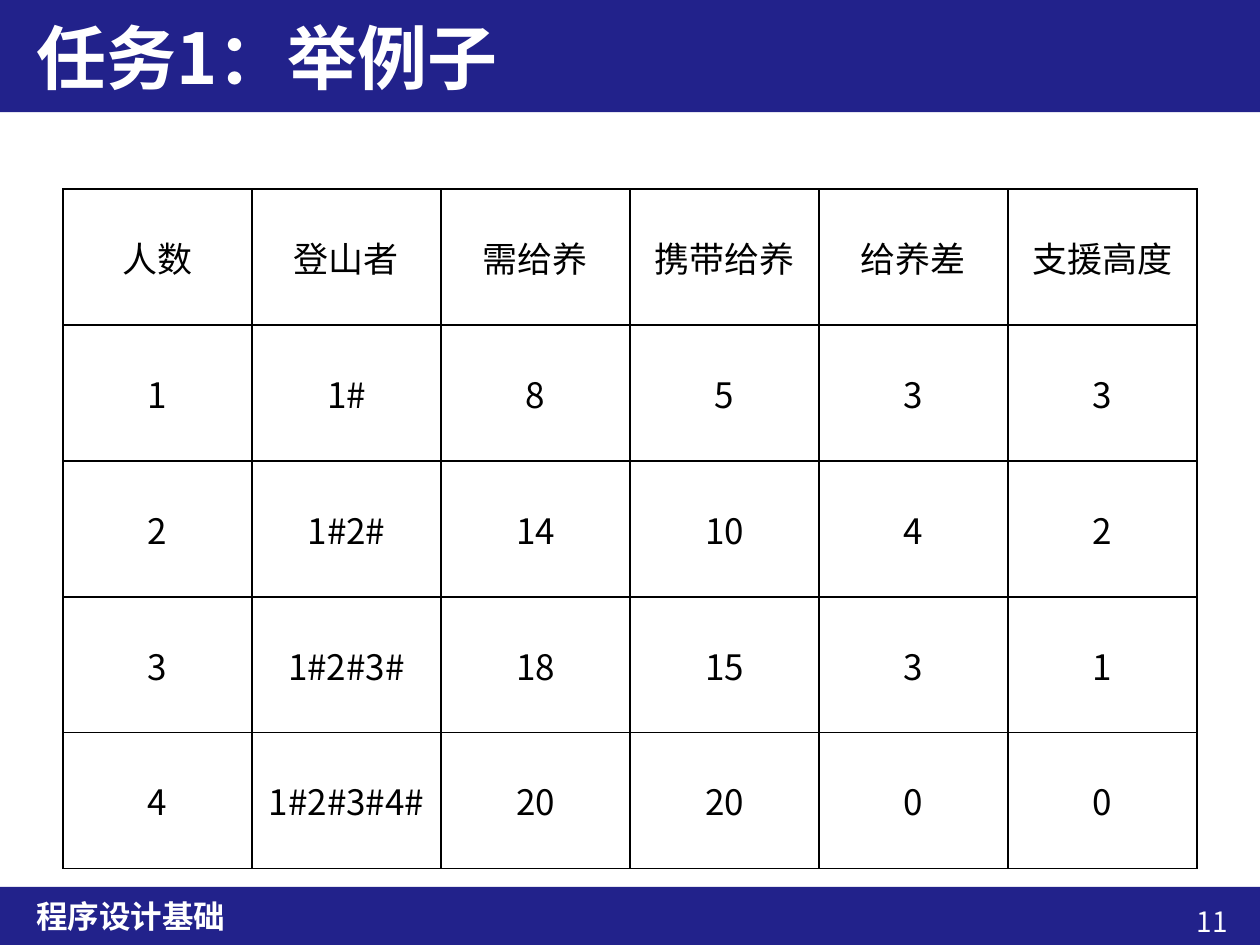
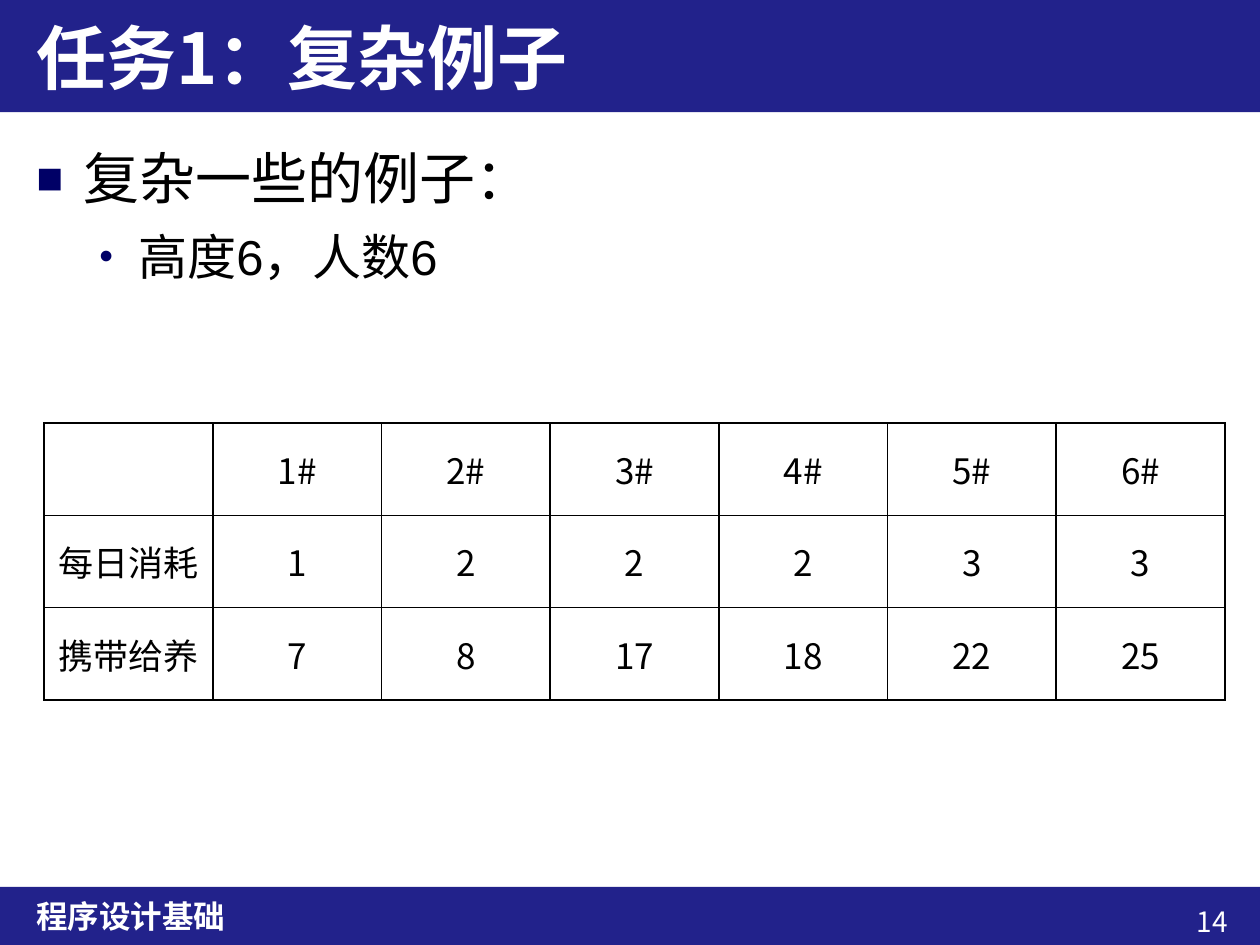
from dataclasses import dataclass

from lxml import etree
from pptx import Presentation
from pptx.dml.color import RGBColor
from pptx.enum.shapes import MSO_SHAPE
from pptx.enum.text import MSO_ANCHOR, MSO_AUTO_SIZE, PP_ALIGN
from pptx.oxml.ns import qn
from pptx.util import Cm, Pt

RECTANGLE = MSO_SHAPE.RECTANGLE
TOP, MIDDLE = MSO_ANCHOR.TOP, MSO_ANCHOR.MIDDLE
LEFT, CENTER, RIGHT = PP_ALIGN.LEFT, PP_ALIGN.CENTER, PP_ALIGN.RIGHT
NO_AUTOFIT = MSO_AUTO_SIZE.NONE


@dataclass(frozen=True)
class Theme:
    band: str = "22228B"
    bullet: str = "000066"
    dark: str = "000000"
    light: str = "FFFFFF"
    cjk_font: str = "Noto Sans CJK SC"
    body_font: str = "Arial"
    title_size: int = 40
    footer_size: int = 18
    number_size: int = 16
    table_size: int = 20


THEME = Theme()
COURSE = "程序设计基础"

# Frames as left, top, width, height in centimetres
TITLE_FRAME = (0.48, 0, 24.38, 2.26)
FOOTER_FRAME = (0.48, 17.88, 24.38, 1.17)
NUMBER_FRAME = (21.82, 18.11, 3.18, 0.94)
BODY_FRAME = (0.48, 2.64, 24.38, 14.86)
BAND_FRAMES = [(-0.02, 0, 25.43, 2.26), (-0.02, 17.88, 25.43, 1.17)]

# Per list level: size, left margin, hanging indent, bullet
LEVELS = [(32, 0.94, 0.94, "■"), (28, 2.06, 0.79, "•")]

PAGES = [
    {
        "title": "任务1：举例子",
        "number": "11",
        "bullets": [],
        "table_origin": (1.27, 3.81),
        "cell_size": (3.81, 2.74),
        "rows": [
            ["人数", "登山者", "需给养", "携带给养", "给养差", "支援高度"],
            ["1", "1#", "8", "5", "3", "3"],
            ["2", "1#2#", "14", "10", "4", "2"],
            ["3", "1#2#3#", "18", "15", "3", "1"],
            ["4", "1#2#3#4#", "20", "20", "0", "0"],
        ],
    },
    {
        "title": "任务1：复杂例子",
        "number": "14",
        "bullets": ["复杂一些的例子：", "高度6，人数6"],
        "table_origin": (0.89, 8.53),
        "cell_size": (3.4, 1.86),
        "rows": [
            ["", "1#", "2#", "3#", "4#", "5#", "6#"],
            ["每日消耗", "1", "2", "2", "2", "3", "3"],
            ["携带给养", "7", "8", "17", "18", "22", "25"],
        ],
    },
]


def format_para(para, size, color, align=LEFT, bold=False, font=THEME.cjk_font):
    para.alignment = align
    for span in para.runs:
        span.font.size = Pt(size)
        span.font.bold = bold
        span.font.color.rgb = RGBColor.from_string(color)
        span.font.name = font
        properties = span.font._element
        etree.SubElement(properties, qn("a:ea"), typeface=THEME.cjk_font)


def place(shape, frame, anchor):
    shape.left, shape.top, shape.width, shape.height = map(Cm, frame)
    shape.text_frame.word_wrap = True
    shape.text_frame.auto_size = NO_AUTOFIT
    shape.text_frame.vertical_anchor = anchor


deck = Presentation()
deck.slide_width, deck.slide_height = Cm(25.4), Cm(19.05)

for page in PAGES:
    layout = deck.slide_layouts[1 if page["bullets"] else 5]
    slide = deck.slides.add_slide(layout)

    # Title with the bands behind it
    title = slide.shapes.title
    place(title, TITLE_FRAME, MIDDLE)
    title.text_frame.text = page["title"]
    format_para(title.text_frame.paragraphs[0], THEME.title_size, THEME.light, bold=True)
    for frame in BAND_FRAMES:
        band = slide.shapes.add_shape(RECTANGLE, *map(Cm, frame))
        band.shadow.inherit = False
        band.fill.solid()
        band.fill.fore_color.rgb = RGBColor.from_string(THEME.band)
        band.line.fill.background()
        title.element.addprevious(band.element)

    # Footer and page number
    for text, frame, anchor, size, align, bold in [
        (COURSE, FOOTER_FRAME, MIDDLE, THEME.footer_size, LEFT, True),
        (page["number"], NUMBER_FRAME, TOP, THEME.number_size, RIGHT, False),
    ]:
        box = slide.shapes.add_textbox(*map(Cm, frame))
        place(box, frame, anchor)
        box.text_frame.text = text
        format_para(box.text_frame.paragraphs[0], size, THEME.light, align, bold)

    # Bulleted list, one level per line
    if page["bullets"]:
        body = slide.placeholders[1]
        place(body, BODY_FRAME, TOP)
        body.text_frame.text = "\n".join(page["bullets"])
        for level, para in enumerate(body.text_frame.paragraphs):
            size, margin, hanging, mark = LEVELS[level]
            para.level = level
            para.line_spacing = 1.1
            para.space_before = Pt(0.2 * size)
            format_para(para, size, THEME.dark, font=THEME.body_font)
            properties = para._p.get_or_add_pPr()
            properties.set("marL", str(Cm(margin)))
            properties.set("indent", str(-Cm(hanging)))
            bullet_color = etree.SubElement(properties, qn("a:buClr"))
            etree.SubElement(bullet_color, qn("a:srgbClr"), val=THEME.bullet)
            etree.SubElement(properties, qn("a:buSzPct"), val="80000")
            etree.SubElement(properties, qn("a:buFont"), typeface=THEME.body_font)
            etree.SubElement(properties, qn("a:buChar"), char=mark)

    # Table with a thin black grid
    rows = page["rows"]
    row_count, column_count = len(rows), len(rows[0])
    left, top = page["table_origin"]
    cell_width, cell_height = page["cell_size"]
    table = slide.shapes.add_table(
        row_count, column_count, Cm(left), Cm(top),
        Cm(cell_width * column_count), Cm(cell_height * row_count),
    ).table
    table.first_row = table.horz_banding = False
    for column in table.columns:
        column.width = Cm(cell_width)
    for row, values in zip(table.rows, rows):
        row.height = Cm(cell_height)
        for cell, value in zip(row.cells, values):
            cell.text_frame.text = value
            cell.vertical_anchor = MIDDLE
            format_para(cell.text_frame.paragraphs[0], THEME.table_size, THEME.dark, CENTER)
            properties = cell._tc.get_or_add_tcPr()
            for side in ("a:lnL", "a:lnR", "a:lnT", "a:lnB"):
                border = etree.SubElement(properties, qn(side), w=str(Pt(1)))
                fill = etree.SubElement(border, qn("a:solidFill"))
                etree.SubElement(fill, qn("a:srgbClr"), val=THEME.dark)
            cell.fill.background()

deck.save("out.pptx")
